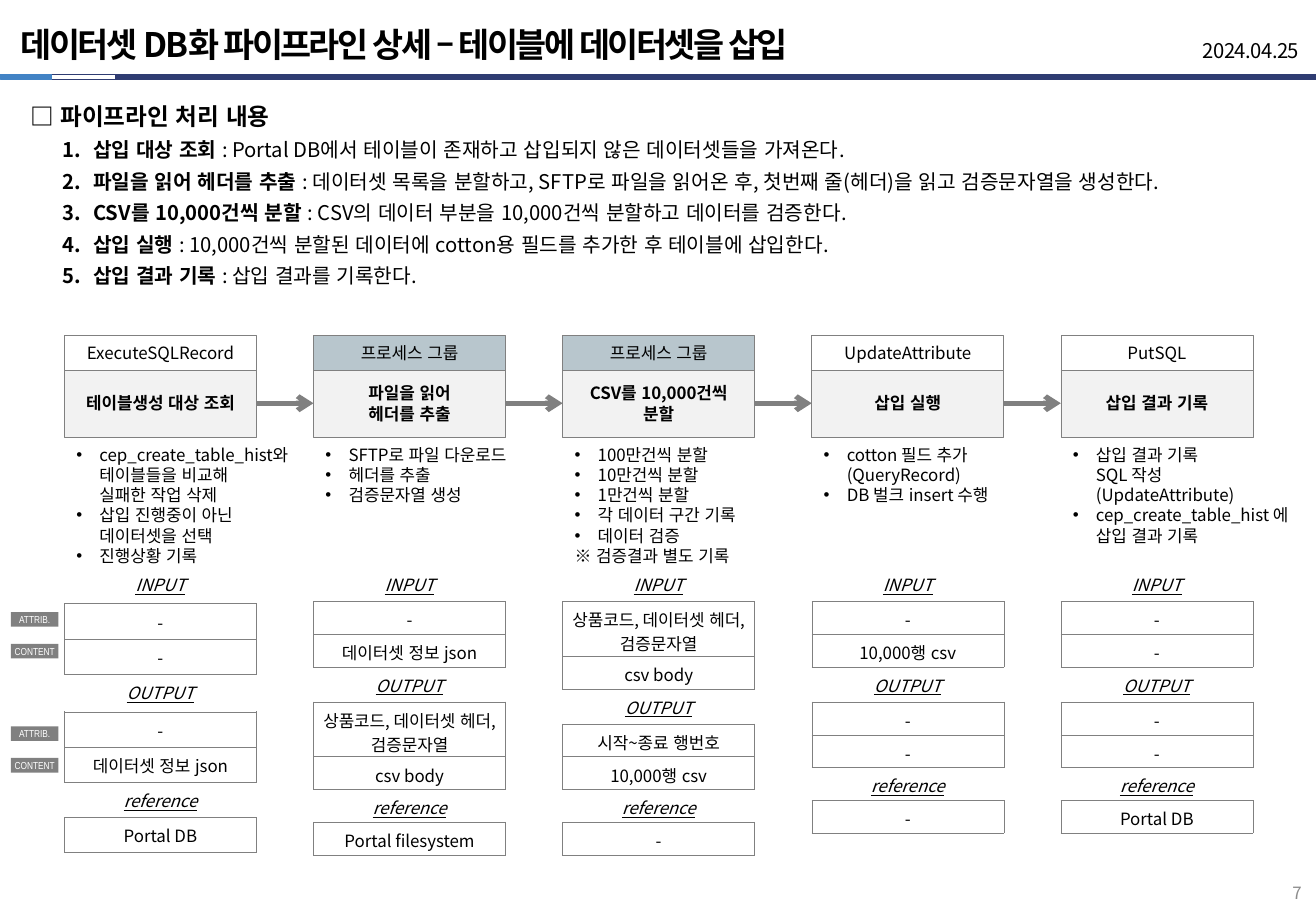
from dataclasses import dataclass
from typing import Optional

from lxml import etree
from pptx import Presentation
from pptx.dml.color import RGBColor
from pptx.enum import shapes, text
from pptx.oxml import ns
from pptx.util import Inches, Pt

BLACK = RGBColor(0x00, 0x00, 0x00)
WHITE = RGBColor(0xFF, 0xFF, 0xFF)
GRAY = RGBColor(0x80, 0x80, 0x80)
PAGE_GRAY = RGBColor(0x8C, 0x8C, 0x8C)
LIGHT = RGBColor(0xF2, 0xF2, 0xF2)
GROUP_FILL = RGBColor(0xB8, 0xC6, 0xCD)
NAVY = RGBColor(0x2F, 0x3C, 0x72)
BLUE = RGBColor(0x42, 0x83, 0xC5)
FONT = "Noto Sans CJK KR"
LEFT, PITCH, STEP_W = 0.53, 2.05, 1.58
TABLE_TOP = 4.66
CENTER, RIGHT = text.PP_ALIGN.CENTER, text.PP_ALIGN.RIGHT
TOP, MIDDLE, BOTTOM = text.MSO_ANCHOR.TOP, text.MSO_ANCHOR.MIDDLE, text.MSO_ANCHOR.BOTTOM


@dataclass
class Step:
    processor: str
    title: str
    bullets: list[str]
    inputs: list[str]
    outputs: list[str]
    reference: str
    is_group: bool = False
    note: str = ""
    row_h: float = 0.27


STEPS = [
    Step("ExecuteSQLRecord", "테이블생성 대상 조회",
         ["cep_create_table_hist와\v테이블들을 비교해\v실패한 작업 삭제",
          "삽입 진행중이 아닌\v데이터셋을 선택", "진행상황 기록"],
         ["-", "-"], ["-", "데이터셋 정보 json"], "Portal DB", row_h=0.29),
    Step("프로세스 그룹", "파일을 읽어\n헤더를 추출",
         ["SFTP로 파일 다운로드", "헤더를 추출", "검증문자열 생성"],
         ["-", "데이터셋 정보 json"], ["상품코드, 데이터셋 헤더, 검증문자열", "csv body"],
         "Portal filesystem", is_group=True),
    Step("프로세스 그룹", "CSV를 10,000건씩\n분할",
         ["100만건씩 분할", "10만건씩 분할", "1만건씩 분할", "각 데이터 구간 기록", "데이터 검증"],
         ["상품코드, 데이터셋 헤더, 검증문자열", "csv body"], ["시작~종료 행번호", "10,000행 csv"],
         "-", is_group=True, note="※ 검증결과 별도 기록"),
    Step("UpdateAttribute", "삽입 실행",
         ["cotton 필드 추가\v(QueryRecord)", "DB 벌크 insert 수행"],
         ["-", "10,000행 csv"], ["-", "-"], "-"),
    Step("PutSQL", "삽입 결과 기록",
         ["삽입 결과 기록\vSQL 작성\v(UpdateAttribute)", "cep_create_table_hist 에\v삽입 결과 기록"],
         ["-", "-"], ["-", "-"], "Portal DB"),
]
SUMMARY = [
    ("삽입 대상 조회 ", ": Portal DB에서 테이블이 존재하고 삽입되지 않은 데이터셋들을 가져온다."),
    ("파일을 읽어 헤더를 추출 ",
     ": 데이터셋 목록을 분할하고, SFTP로 파일을 읽어온 후, 첫번째 줄(헤더)을 읽고 검증문자열을 생성한다."),
    ("CSV를 10,000건씩 분할 ", ": CSV의 데이터 부분을 10,000건씩 분할하고 데이터를 검증한다."),
    ("삽입 실행 ", ": 10,000건씩 분할된 데이터에 cotton용 필드를 추가한 후 테이블에 삽입한다."),
    ("삽입 결과 기록 ", ": 삽입 결과를 기록한다."),
]


def add_xml(parent, tag: str, **attrs: str):
    return etree.SubElement(parent, ns.qn(tag), attrs)


def write(tf, content: str, *, size: float = 10, color=BLACK, font: str = FONT,
          bold: bool = False, label: bool = False, align=None, spacing=None, lead: str = "",
          track: float = 0, bullet: str = "", indent=(0.0, 0.0)) -> None:
    """Append one paragraph per line; lead is a bold opening, label is italic and underlined."""
    for line in content.split("\n"):
        p = tf.paragraphs[-1]
        if p.runs:
            p = tf.add_paragraph()
        p.text = lead or line
        if lead:
            p.add_run().text = line
        p.alignment = align
        p.line_spacing = spacing
        pPr = p._p.get_or_add_pPr()
        pPr.set("hangingPunct", "0")
        for i, r in enumerate(p.runs):
            f = r.font
            f.size, f.name, f.color.rgb = Pt(size), font, color
            f.bold = bold or bool(lead and i == 0)
            f.italic = f.underline = label
            rPr = r._r.get_or_add_rPr()
            rPr.set("lang", "ko-KR")
            rPr.set("kern", "0")
            if track:
                rPr.set("spc", str(round(track * 100)))
            ea = etree.Element(ns.qn("a:ea"), typeface=font)
            rPr.find(ns.qn("a:latin")).addnext(ea)
        if bullet:
            pPr.set("marL", str(Inches(indent[0])))
            pPr.set("indent", str(Inches(indent[1])))
            if bullet == "1.":
                add_xml(pPr, "a:buAutoNum", type="arabicPeriod")
            else:
                add_xml(pPr, "a:buFont", typeface="Arial")
                add_xml(pPr, "a:buChar", char=bullet)


def frame(sp, anchor=TOP, wrap: bool = True, margin: Optional[float] = None):
    tf = sp.text_frame
    tf.auto_size = text.MSO_AUTO_SIZE.NONE
    tf.word_wrap, tf.vertical_anchor = wrap, anchor
    side, edge = (0.1, 0.05) if margin is None else (margin, margin)
    tf.margin_left = tf.margin_right = Inches(side)
    tf.margin_top = tf.margin_bottom = Inches(edge)
    return tf


def add_box(s, x: float, y: float, w: float, h: float, fill=None, line=None):
    sp = s.shapes.add_shape(shapes.MSO_SHAPE.RECTANGLE, Inches(x), Inches(y), Inches(w), Inches(h))
    sp.shadow.inherit = False
    for paint, color in ((sp.fill, fill), (sp.line.fill, line)):
        if color is None:
            paint.background()
        else:
            paint.solid()
            paint.fore_color.rgb = color
    if line is not None:
        sp.line.width = Pt(0.25)
    return sp


def add_text(s, x: float, y: float, w: float, h: float, anchor=TOP, wrap: bool = True):
    return frame(s.shapes.add_textbox(Inches(x), Inches(y), Inches(w), Inches(h)), anchor, wrap)


def add_arrow(s, x: float, y: float, length: float) -> None:
    c = s.shapes.add_connector(shapes.MSO_CONNECTOR.STRAIGHT, Inches(x), Inches(y),
                               Inches(x + length), Inches(y))
    c.line.color.rgb, c.line.width = GRAY, Pt(3)
    add_xml(c.line._get_or_add_ln(), "a:tailEnd", type="arrow")
    add_xml(c._element.spPr, "a:effectLst")


def set_borders(cell, visible: str) -> None:
    tcPr = cell._tc.get_or_add_tcPr()
    for i, side in enumerate("LRTB"):
        ln = etree.Element(ns.qn(f"a:ln{side}"), w=str(Pt(0.25)))
        if side in visible:
            add_xml(add_xml(ln, "a:solidFill"), "a:srgbClr", val=str(GRAY))
        else:
            add_xml(ln, "a:noFill")
        tcPr.insert(i, ln)


def add_data_table(s, step: Step, x: float) -> None:
    """Draw the input, output and reference rows of one step."""
    rows = ["INPUT", *step.inputs, "OUTPUT", *step.outputs, "reference", step.reference]
    heights = [step.row_h + 0.02 if t in ("INPUT", "OUTPUT") else 0.45 if len(t) > 18 else step.row_h
               for t in rows]
    table = s.shapes.add_table(len(rows), 1, Inches(x), Inches(TABLE_TOP), Inches(STEP_W),
                               Inches(sum(heights))).table
    table.first_row = table.horz_banding = False
    for i, (content, height) in enumerate(zip(rows, heights)):
        table.rows[i].height = Inches(height)
        cell = table.cell(i, 0)
        cell.margin_left = cell.margin_right = cell.margin_top = Inches(0.05)
        cell.margin_bottom = 0
        cell.fill.background()
        is_label = i in (0, 3, 6)
        set_borders(cell, "LRTB" if not is_label else "TB" if i else "B")
        write(cell.text_frame, content, label=is_label, align=CENTER)


def add_step(s, step: Step, x: float) -> None:
    tf = frame(add_box(s, x, 3.04, STEP_W, 0.56, LIGHT, GRAY), MIDDLE)
    write(tf, step.title, bold=True, align=CENTER, spacing=Pt(12))
    fill = GROUP_FILL if step.is_group else WHITE
    tf = frame(add_box(s, x, 2.76, STEP_W, 0.29, fill, GRAY), MIDDLE)
    write(tf, step.processor, align=CENTER)
    tf = add_text(s, x, 3.61, STEP_W, 1.2, wrap=False)
    for item in step.bullets:
        write(tf, item, spacing=Pt(12), bullet="•", indent=(0.19, -0.19))
    if step.note:
        write(tf, step.note, spacing=Pt(12))
    add_data_table(s, step, x)


def add_header(s) -> None:
    add_box(s, 0.42, 0.61, 0.53, 0.04, line=NAVY)
    add_box(s, 0, 0.61, 0.42, 0.04, BLUE, BLUE)
    add_box(s, 0.95, 0.61, 9.88, 0.04, NAVY, NAVY)
    sp = s.shapes.title
    sp.left, sp.top, sp.width, sp.height = Inches(0.07), Inches(0.14), Inches(7.26), Inches(0.44)
    write(frame(sp, MIDDLE, wrap=False), "데이터셋 DB화 파이프라인 상세 – 테이블에 데이터셋을 삽입",
          size=20, bold=True, track=-1.6, align=text.PP_ALIGN.LEFT)
    write(add_text(s, 8.28, 0.29, 2.51, 0.28, BOTTOM), "2024.04.25",
          size=12, track=-0.3, align=RIGHT, spacing=0.9)


def main() -> None:
    prs = Presentation()
    prs.slide_width, prs.slide_height = Inches(10.83), Inches(7.5)
    s = prs.slides.add_slide(prs.slide_layouts.get_by_name("Title Only"))
    add_header(s)
    tf = add_text(s, 0.15, 0.72, 10.47, 1.7)
    write(tf, "□ 파이프라인 처리 내용", size=14, bold=True, spacing=Pt(21.8))
    for lead, detail in SUMMARY:
        write(tf, detail, lead=lead, size=12, spacing=Pt(18.7), bullet="1.", indent=(0.52, -0.25))
    for i, step in enumerate(STEPS):
        x = LEFT + i * PITCH
        add_step(s, step, x)
        if i < len(STEPS) - 1:
            add_arrow(s, x + STEP_W, 3.32, PITCH - STEP_W)
    for top in (5.04, 5.98):
        for i, name in enumerate(("ATTRIB.", "CONTENT")):
            tag = add_box(s, 0.09, top + i * 0.26, 0.39, 0.12, GRAY)
            write(frame(tag, wrap=False, margin=0.01), name, size=6, color=WHITE,
                  font="Arial Narrow", align=CENTER)
    write(add_text(s, 10.29, 7.18, 0.52, 0.3, BOTTOM), "7", color=PAGE_GRAY, align=RIGHT)
    prs.save("out.pptx")


if __name__ == "__main__":
    main()
